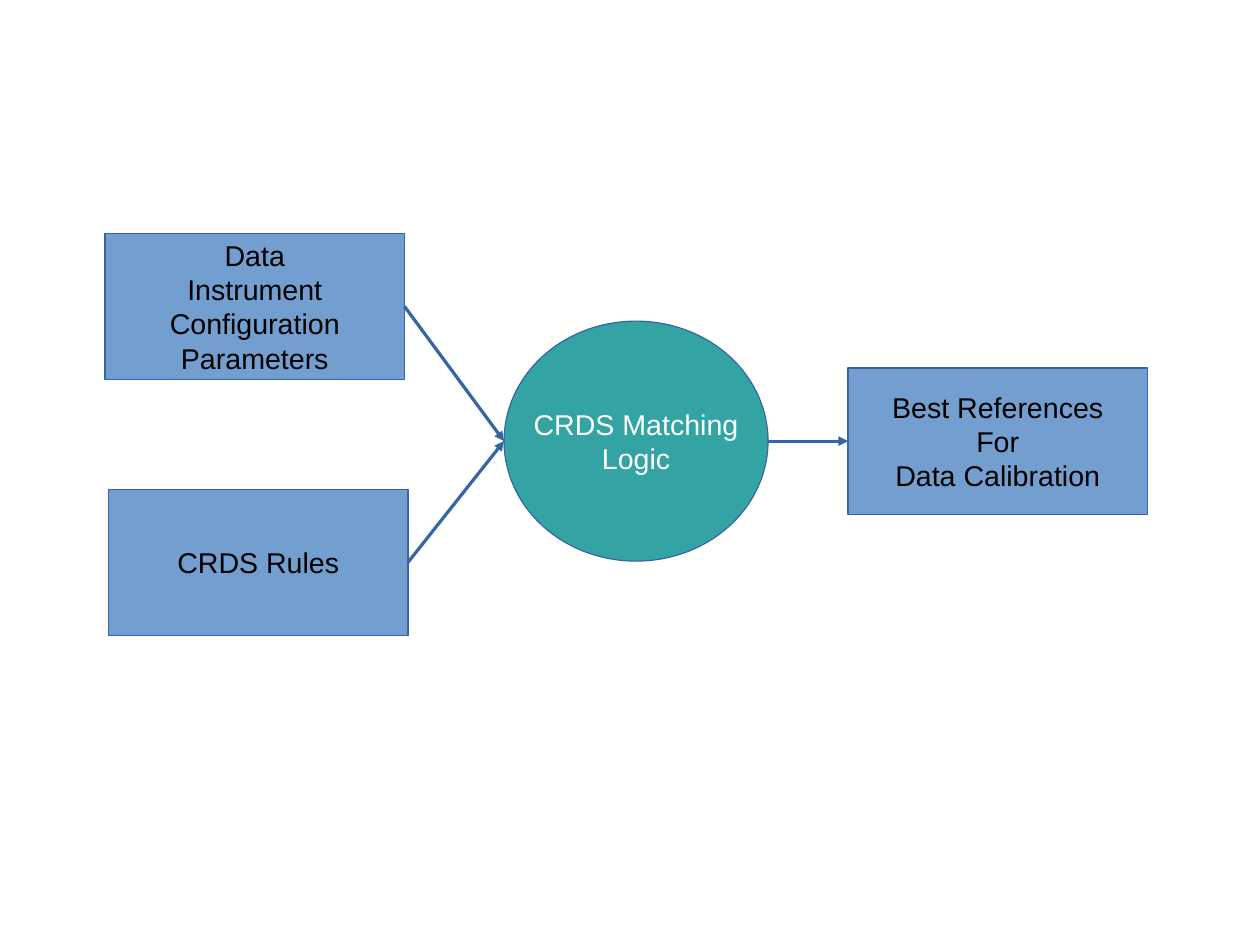
"""Build the CRDS matching flow slide."""
from lxml.etree import SubElement
from pptx import Presentation
from pptx.dml.color import RGBColor
from pptx.enum.shapes import MSO_CONNECTOR as Connector, MSO_SHAPE as Shape
from pptx.enum.text import MSO_ANCHOR as Anchor, PP_ALIGN as Align
from pptx.oxml.ns import qn
from pptx.util import Pt

BLUE = RGBColor(0x72, 0x9F, 0xCF)
TEAL = RGBColor(0x33, 0xA3, 0xA3)
OUTLINE = RGBColor(0x34, 0x65, 0xA4)
BLACK = RGBColor(0, 0, 0)
WHITE = RGBColor(255, 255, 255)

BOX_WIDTH, BOX_HEIGHT = 188.6, 92.2
CIRCLE_LEFT, CIRCLE_WIDTH, CIRCLE_HEIGHT = 317.5, 166.3, 151.2
MIDDLE = 277.9
CIRCLE_RIGHT = CIRCLE_LEFT + CIRCLE_WIDTH

FRAME_FORMAT = {
    "word_wrap": False, "vertical_anchor": Anchor.MIDDLE,
    "margin_left": Pt(7.2), "margin_right": Pt(7.2),
    "margin_top": Pt(3.6), "margin_bottom": Pt(3.6),
}
FONT_FORMAT = {"name": "Arial", "size": Pt(18)}

presentation = Presentation()
presentation.slide_width, presentation.slide_height = Pt(793.7), Pt(595.3)
slide = presentation.slides.add_slide(presentation.slide_layouts[6])


def add_node(kind, left, top, width, height, fill, color, lines):
    shape = slide.shapes.add_shape(kind, Pt(left), Pt(top), Pt(width), Pt(height))
    shape.shadow.inherit = False
    shape.fill.solid()
    shape.fill.fore_color.rgb = fill
    shape.line.color.rgb = OUTLINE
    shape.line.width = Pt(0)
    frame = shape.text_frame
    for name, value in FRAME_FORMAT.items():
        setattr(frame, name, value)
    frame.text = "\n".join(lines)
    for paragraph in frame.paragraphs:
        paragraph.alignment = Align.CENTER
        font = paragraph.runs[0].font
        font.color.rgb = color
        for name, value in FONT_FORMAT.items():
            setattr(font, name, value)
    return shape


def add_arrow(start, end):
    arrow = slide.shapes.add_connector(
        Connector.STRAIGHT, *(Pt(value) for value in (*start, *end)))
    arrow.line.color.rgb = OUTLINE
    arrow.line.width = Pt(0)
    SubElement(arrow.line._get_or_add_ln(), qn("a:tailEnd"), type="triangle")
    SubElement(arrow._element.spPr, qn("a:effectLst"))
    return arrow


boxes = []
for left, top, lines in (
    (68.4, 308.2, ["CRDS Rules"]),
    (66.2, 146.9, ["Data", "Instrument", "Configuration", "Parameters"]),
    (534.2, MIDDLE - BOX_HEIGHT / 2, ["Best References", "For", "Data Calibration"]),
):
    boxes.append(add_node(Shape.RECTANGLE, left, top, BOX_WIDTH, BOX_HEIGHT,
                          BLUE, BLACK, lines))
rules, parameters, references = boxes

add_node(Shape.OVAL, CIRCLE_LEFT, MIDDLE - CIRCLE_HEIGHT / 2, CIRCLE_WIDTH,
         CIRCLE_HEIGHT, TEAL, WHITE, ["CRDS Matching", "Logic"])

for box in (parameters, rules):
    right_middle = ((box.left + box.width).pt if hasattr(box.left + box.width, "pt")
                    else (box.left + box.width) / Pt(1),
                    (box.top + box.height / 2) / Pt(1))
    arrow = add_arrow(right_middle, (CIRCLE_LEFT, MIDDLE))
    arrow.begin_connect(box, 3)

arrow = add_arrow((CIRCLE_RIGHT, MIDDLE), (references.left / Pt(1), MIDDLE))
arrow.end_connect(references, 1)

presentation.save("out.pptx")
